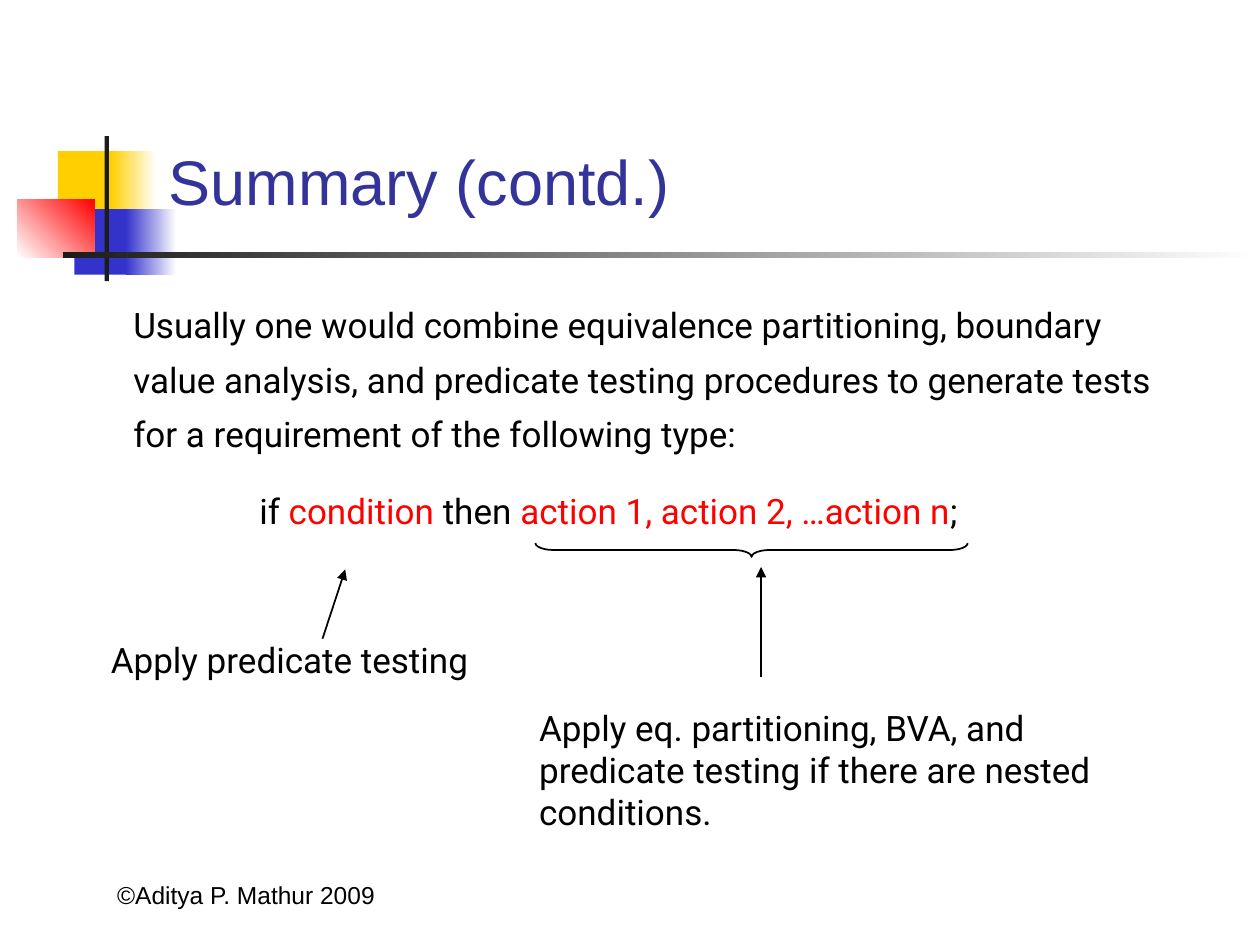
from dataclasses import dataclass
from typing import Optional

import pptx
import pptx.dml.color
import pptx.enum.shapes
import pptx.enum.text
import pptx.oxml.ns
import pptx.util
from lxml import etree
from pptx.dml.color import RGBColor
from pptx.enum.shapes import MSO_CONNECTOR, MSO_SHAPE
from pptx.enum.text import MSO_ANCHOR, MSO_AUTO_SIZE, PP_ALIGN
from pptx.util import Pt

BLACK = RGBColor(0x00, 0x00, 0x00)
WHITE = RGBColor(0xFF, 0xFF, 0xFF)
RED = RGBColor(0xFF, 0x00, 0x00)
YELLOW = RGBColor(0xFF, 0xCF, 0x01)
BLUE = RGBColor(0x33, 0x33, 0xCC)
CHARCOAL = RGBColor(0x1C, 0x1C, 0x1C)
TITLE_BLUE = RGBColor(0x33, 0x33, 0x99)


@dataclass(frozen=True)
class Box:
    left: float
    top: float
    width: float
    height: float

    def lengths(self) -> tuple:
        return Pt(self.left), Pt(self.top), Pt(self.width), Pt(self.height)


@dataclass(frozen=True)
class Block:
    box: Box
    color: RGBColor
    fade_to: Optional[RGBColor] = None
    angle: float = 0


@dataclass(frozen=True)
class Run:
    text: str
    color: RGBColor = BLACK
    size: float = 20
    font: str = "Roboto"


@dataclass(frozen=True)
class Arrow:
    start: tuple[float, float]
    end: tuple[float, float]


BLOCKS = [
    Block(Box(33.1, 86.4, 34.6, 37.4), YELLOW),
    Block(Box(63.4, 86.4, 25.9, 37.4), YELLOW, WHITE),
    Block(Box(42.5, 119.5, 33.1, 37.4), BLUE),
    Block(Box(72, 119.5, 28.8, 37.4), BLUE, WHITE),
    Block(Box(10, 113.8, 44, 33.1), WHITE, RED, 45),
    Block(Box(59.8, 77.8, 2.4, 82.8), CHARCOAL),
    Block(Box(36, 144, 684, 3.6), CHARCOAL, WHITE),
]
INTRODUCTION = [Run(
    "Usually one would combine equivalence partitioning, boundary value analysis, "
    "and predicate testing procedures to generate tests for a requirement of the "
    "following type:"
)]
REQUIREMENT = [
    Run("if "),
    Run("condition", RED),
    Run(" then "),
    Run("action 1, action 2, …action n", RED),
    Run(";"),
]
ARROWS = [
    Arrow((184.3, 365), (197.3, 325.4)),
    Arrow((434.9, 386.6), (434.9, 324)),
]


def add_block(slide, block: Block) -> None:
    shape = slide.shapes.add_shape(MSO_SHAPE.RECTANGLE, *block.box.lengths())
    shape.shadow.inherit = False
    shape.line.fill.background()
    if block.fade_to is None:
        shape.fill.solid()
        shape.fill.fore_color.rgb = block.color
        return
    shape.fill.gradient()
    shape.fill.gradient_angle = block.angle
    for stop, color in zip(shape.fill.gradient_stops, (block.color, block.fade_to)):
        stop.color.rgb = color


def add_runs(paragraph, runs: list[Run]) -> None:
    for item in runs:
        run = paragraph.add_run()
        run.text = item.text
        run.font.name = item.font
        run.font.size = Pt(item.size)
        run.font.color.rgb = item.color


def add_text(slide, box: Box, paragraphs: list[list[Run]], wrap: bool = True):
    frame = slide.shapes.add_textbox(*box.lengths()).text_frame
    frame.word_wrap = wrap
    frame.auto_size = MSO_AUTO_SIZE.NONE
    for index, runs in enumerate(paragraphs):
        paragraph = frame.add_paragraph() if index else frame.paragraphs[0]
        add_runs(paragraph, runs)
    return frame


def add_arrow(slide, arrow: Arrow) -> None:
    points = [Pt(value) for value in (*arrow.start, *arrow.end)]
    connector = slide.shapes.add_connector(MSO_CONNECTOR.STRAIGHT, *points)
    connector.line.color.rgb = BLACK
    connector.line.width = Pt(1)
    line = connector.line._get_or_add_ln()
    etree.SubElement(line, pptx.oxml.ns.qn("a:tailEnd"), type="triangle")
    etree.SubElement(connector._element.spPr, pptx.oxml.ns.qn("a:effectLst"))


def add_brace(slide, box: Box) -> None:
    brace = slide.shapes.add_shape(MSO_SHAPE.RIGHT_BRACE, *box.lengths())
    brace.rotation = 90
    brace.adjustments[0] = 1.3
    brace.shadow.inherit = False
    brace.fill.background()
    brace.line.color.rgb = BLACK
    brace.line.width = Pt(1)


def set_title(slide) -> None:
    title = slide.shapes.title
    title.left, title.top, title.width, title.height = Box(89.3, 77, 613.4, 51.1).lengths()
    frame = title.text_frame
    frame.vertical_anchor = MSO_ANCHOR.BOTTOM
    frame.auto_size = MSO_AUTO_SIZE.NONE
    frame.paragraphs[0].alignment = PP_ALIGN.LEFT
    add_runs(frame.paragraphs[0], [Run("Summary (contd.)", TITLE_BLUE, 36, "Arial")])


def main() -> None:
    presentation = pptx.Presentation()
    presentation.slide_width, presentation.slide_height = Pt(720), Pt(540)
    slide = presentation.slides.add_slide(presentation.slide_layouts[5])
    for block in BLOCKS:
        add_block(slide, block)
    set_title(slide)

    copyright_line = [Run("©Aditya P. Mathur 2009", size=14, font="Arial")]
    footer = add_text(slide, Box(26.6, 487.4, 228.2, 36), [copyright_line])
    footer.vertical_anchor = MSO_ANCHOR.BOTTOM
    footer.paragraphs[0].alignment = PP_ALIGN.CENTER

    body = add_text(slide, Box(69.1, 162.7, 617, 144.7), [INTRODUCTION, REQUIREMENT])
    for paragraph in body.paragraphs:
        paragraph.line_spacing = 1.3
    requirement = body.paragraphs[1]
    requirement.space_before = Pt(12.5)
    requirement._p.get_or_add_pPr().set("marL", str(Pt(72)))

    add_text(slide, Box(56.2, 361.4, 231.8, 31.7), [[Run("Apply predicate testing")]], wrap=False)
    add_text(slide, Box(301, 400.3, 374.4, 79.2), [[Run(
        "Apply eq. partitioning, BVA, and predicate testing if there are nested conditions."
    )]])
    add_brace(slide, Box(425.5, 190.8, 7.9, 247))
    for arrow in ARROWS:
        add_arrow(slide, arrow)
    presentation.save("out.pptx")


if __name__ == "__main__":
    main()
